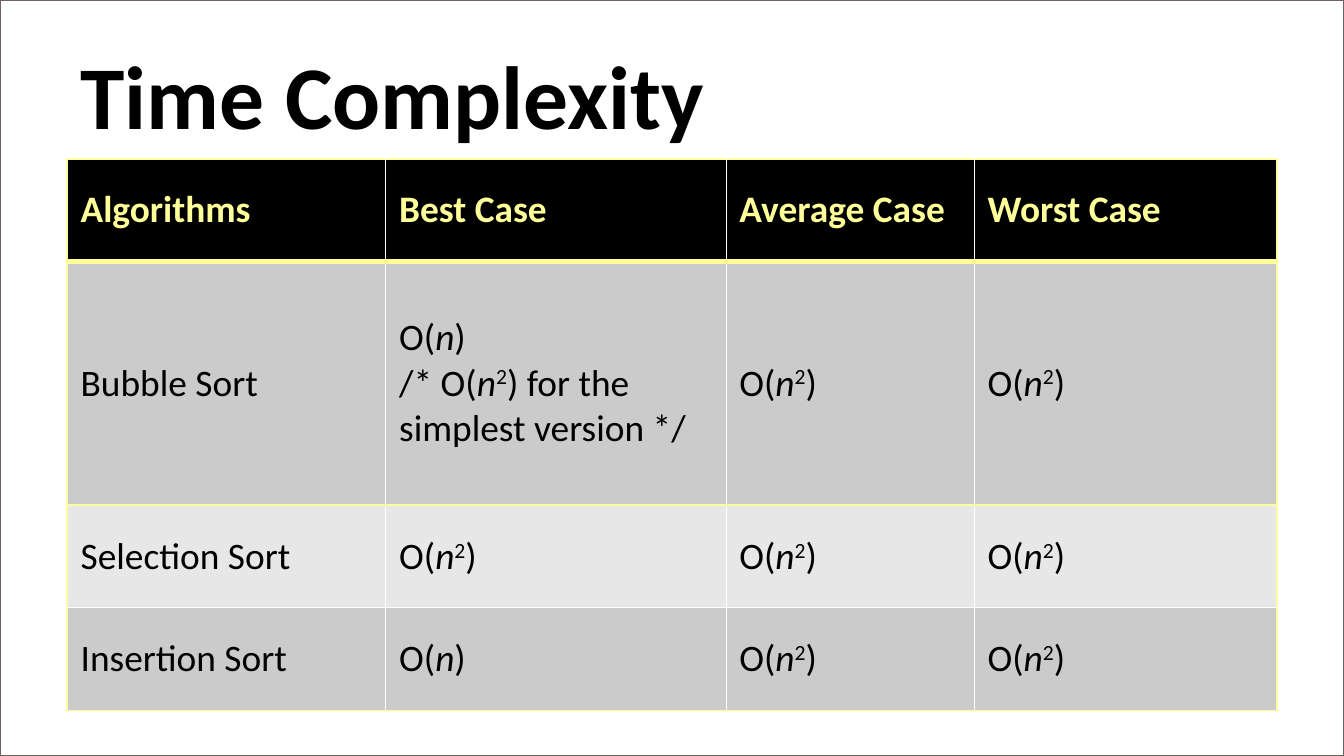
from lxml.etree import SubElement
from pptx import Presentation
from pptx.dml.color import RGBColor as Rgb
from pptx.enum.shapes import MSO_SHAPE as Shape
from pptx.enum.text import MSO_ANCHOR as Anchor, PP_ALIGN as Align
from pptx.oxml.ns import qn
from pptx.util import Cm, Pt

COLORS = {"paper": "FFFFFF", "frame": "6D6161", "ink": "000000",
          "accent": "FFFF99", "dark_band": "CBCBCB", "light_band": "E7E7E7"}
N = ("n", {"italic": True})
SQUARED = [N, ("2", {"baseline": 30000})]
LINEAR = [[("O(", {}), N, (")", {})]]
QUADRATIC = [[("O(", {}), *SQUARED, (")", {})]]
BUBBLE_BEST = LINEAR + [[("/* O(", {}), *SQUARED, (") for the simplest version */", {})]]


def plain(text):
    """Return one paragraph holding one unformatted run."""
    return [[(text, {})]]


ROWS = [
    [plain(name) for name in ("Algorithms", "Best Case", "Average Case", "Worst Case")],
    [plain("Bubble Sort"), BUBBLE_BEST, QUADRATIC, QUADRATIC],
    [plain("Selection Sort"), QUADRATIC, QUADRATIC, QUADRATIC],
    [plain("Insertion Sort"), LINEAR, QUADRATIC, QUADRATIC],
]
COLUMN_WIDTHS = [6.02, 6.43, 4.69, 5.72]
ROW_HEIGHTS = [1.94, 4.61, 1.94, 1.94]
BANDS = ["ink", "dark_band", "light_band", "dark_band"]
RULES = [("accent", 1), ("accent", 3), ("accent", 1), ("paper", 0.5), ("accent", 1)]
COLUMN_RULES = [("accent", 1), *[("paper", 0.5)] * 3, ("accent", 1)]


class SlideBuilder:
    """Hold the style and the current slide, and add elements to it."""

    def __init__(self, slide, font="Calibri"):
        self.slide = slide
        self.font = font

    def color(self, name):
        """Return the named colour."""
        return Rgb.from_string(COLORS[name])

    def put_text(self, frame, paragraphs, color, **style):
        """Fill a text frame with paragraphs of formatted runs."""
        for index, runs in enumerate(paragraphs):
            para = frame.paragraphs[0] if index == 0 else frame.add_paragraph()
            para.alignment = Align.LEFT
            for text, extra in runs:
                span = para.add_run()
                span.text = text
                values = {"name": self.font, "italic": False, **style, **extra}
                baseline = values.pop("baseline", None)
                for key, value in values.items():
                    setattr(span.font, key, value)
                span.font.color.rgb = self.color(color)
                if baseline:
                    span.font._element.set("baseline", str(baseline))

    def page_frame(self, width, height):
        """Add the outlined page behind everything else."""
        box = self.slide.shapes.add_shape(Shape.RECTANGLE, 0, 0, width, height)
        box.shadow.inherit = False
        box.fill.solid()
        box.fill.fore_color.rgb = self.color("paper")
        box.line.color.rgb = self.color("frame")
        box.line.width = Pt(1)
        self.slide.shapes._spTree.insert(2, box._element)

    def title(self, text, left, top, width, height):
        """Place and fill the title placeholder."""
        box = self.slide.shapes.title
        places = {"left": left, "top": top, "width": width, "height": height}
        for key, value in places.items():
            setattr(box, key, Cm(value))
        box.text_frame.vertical_anchor = Anchor.MIDDLE
        self.put_text(box.text_frame, plain(text), "ink", size=Pt(48), bold=True)
        box.text_frame.paragraphs[0].line_spacing = 0.9

    def border(self, cell, side, rule):
        """Draw one side of a table cell."""
        color, width = rule
        line = SubElement(cell._tc.get_or_add_tcPr(), qn(f"a:ln{side}"), w=str(Pt(width)))
        fill = SubElement(line, qn("a:solidFill"))
        SubElement(fill, qn("a:srgbClr"), val=COLORS[color])

    def table(self, rows, left, top):
        """Add the table with its bands and rules."""
        size = Cm(sum(COLUMN_WIDTHS)), Cm(sum(ROW_HEIGHTS))
        grid = self.slide.shapes.add_table(
            len(rows), len(rows[0]), Cm(left), Cm(top), *size).table
        for column, width in zip(grid.columns, COLUMN_WIDTHS):
            column.width = Cm(width)
        for row, height in zip(grid.rows, ROW_HEIGHTS):
            row.height = Cm(height)
        for r, row in enumerate(rows):
            for c, paragraphs in enumerate(row):
                cell = grid.cell(r, c)
                sides = {"L": COLUMN_RULES[c], "R": COLUMN_RULES[c + 1],
                         "T": RULES[r], "B": RULES[r + 1]}
                for side, rule in sides.items():
                    self.border(cell, side, rule)
                cell.fill.solid()
                cell.fill.fore_color.rgb = self.color(BANDS[r])
                cell.vertical_anchor = Anchor.MIDDLE
                self.put_text(cell.text_frame, paragraphs, "ink" if r else "accent",
                              size=Pt(20), bold=r == 0)


def main():
    """Build the slide and save the deck."""
    deck = Presentation()
    deck.slide_width, deck.slide_height = Cm(25.4), Cm(14.29)
    page = SlideBuilder(deck.slides.add_slide(deck.slide_layouts[5]))
    page.page_frame(deck.slide_width, deck.slide_height)
    page.title("Time Complexity", 1.27, 0.79, 22.86, 2.21)
    page.table(ROWS, 1.27, 3)
    deck.save("out.pptx")


if __name__ == "__main__":
    main()
